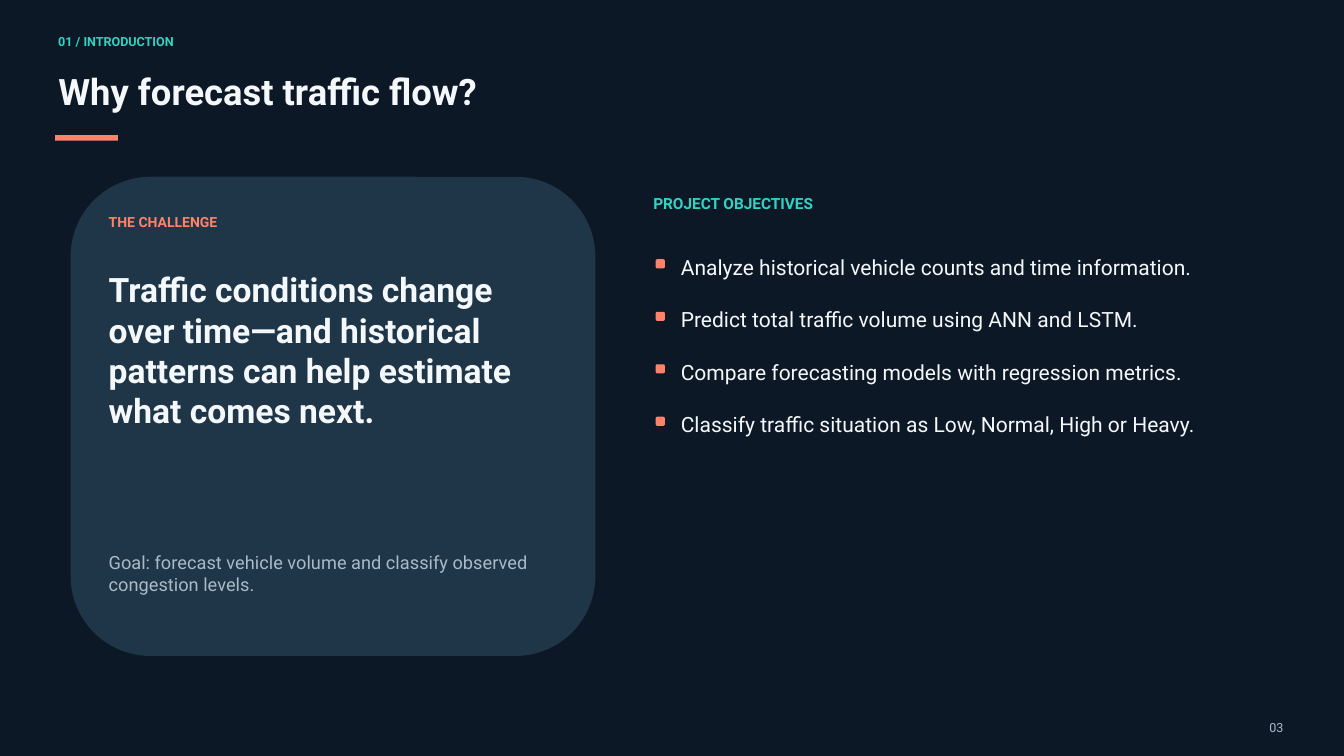
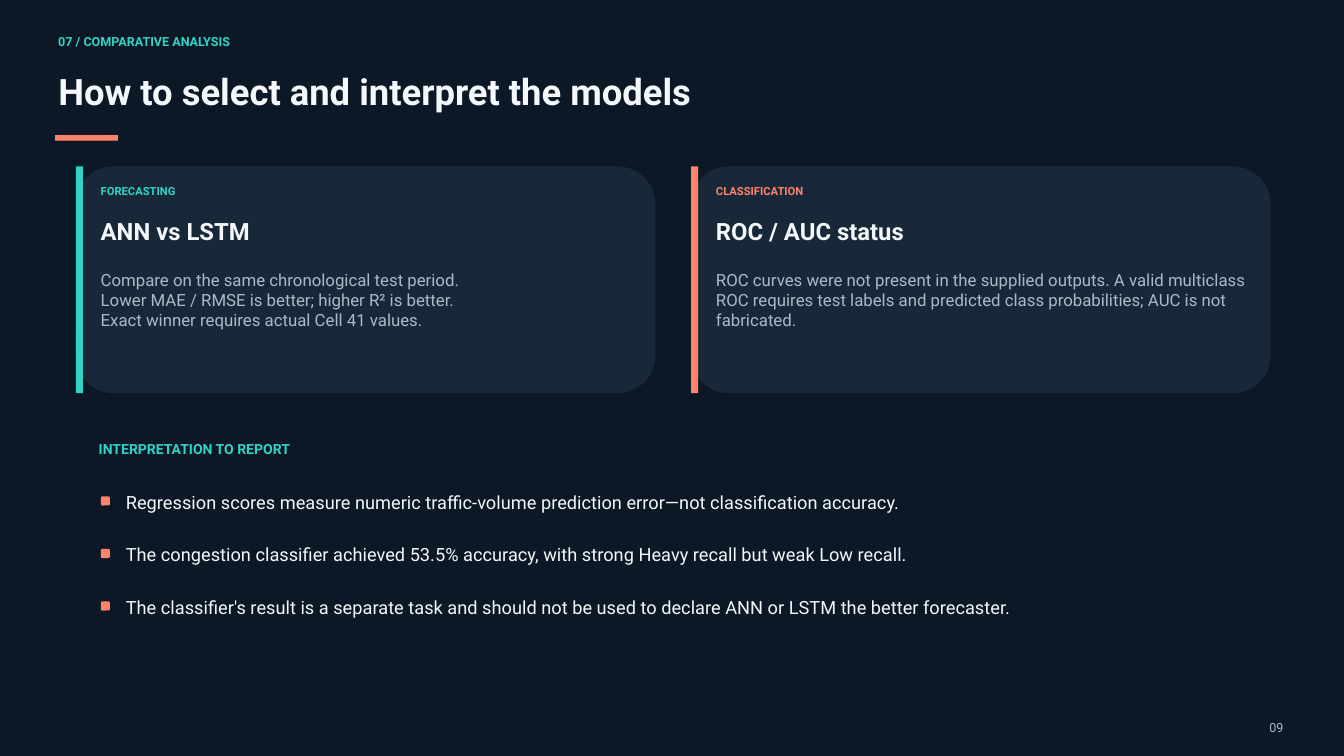
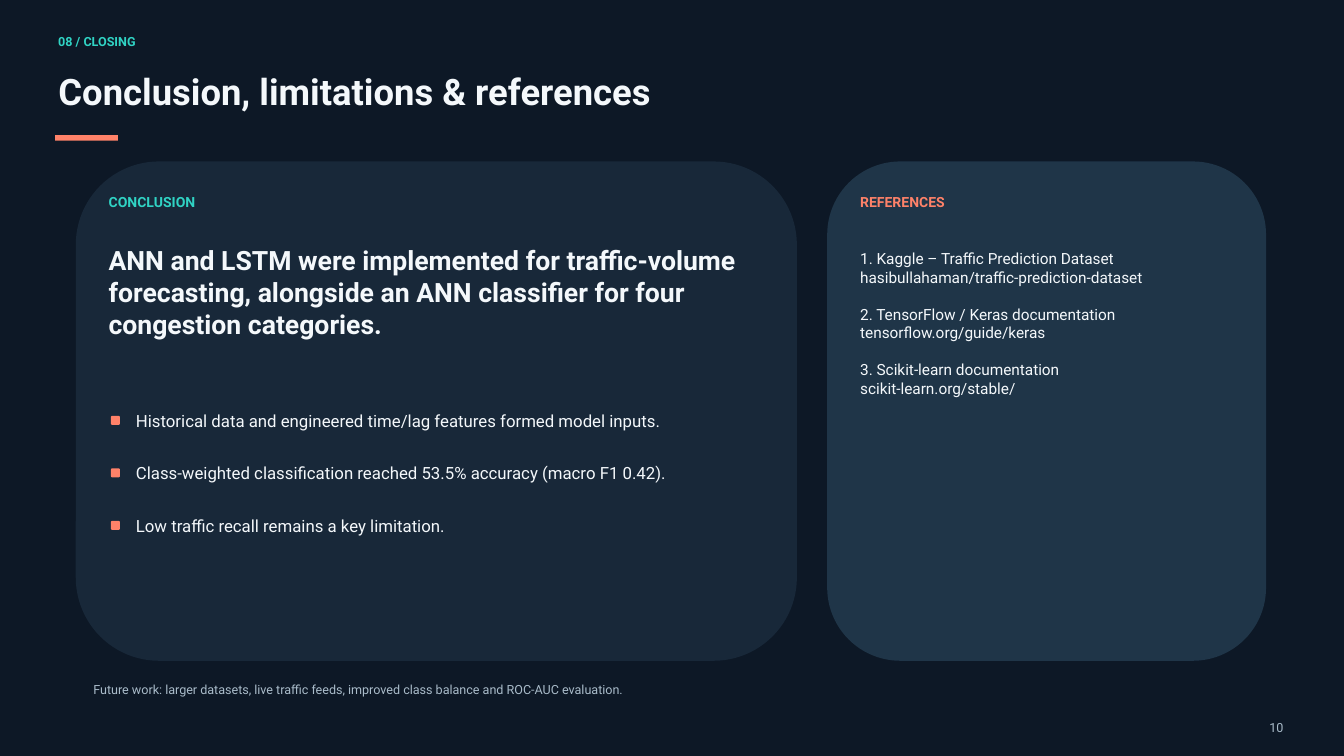
from lxml import etree
from pptx import Presentation
from pptx.dml.color import RGBColor
from pptx.enum import shapes, text
from pptx.oxml import ns
from pptx.util import Pt

NIGHT, CARD, CARD_LIGHT = "0D1826", "182839", "1F3548"
TEAL, CORAL, WHITE, GREY = "30D3C4", "FF8269", "F4F8FB", "A9BBC9"
FONT = "Roboto"
MARKER_SIZE = 9.75
MARKER_DROP = 5.6
LIST_INDENT = 26.8
LIST_PITCH = 56.25
RECTANGLE = shapes.MSO_SHAPE.RECTANGLE
ROUNDED = shapes.MSO_SHAPE.ROUNDED_RECTANGLE


def add_block(slide, kind, colour, left, top, width, height):
    shape = slide.shapes.add_shape(kind, Pt(left), Pt(top), Pt(width), Pt(height))
    shape.shadow.inherit = False
    shape.fill.solid()
    shape.fill.fore_color.rgb = RGBColor.from_string(colour)
    shape.line.fill.background()


def write(slide, lines, left, top, width, height, size, colour=WHITE, bold=False,
          align=text.PP_ALIGN.LEFT, gap=0, placeholder=None):
    """Write one paragraph per line, in a new text box or in a placeholder brought to the front."""
    shape = placeholder or slide.shapes.add_textbox(0, 0, 0, 0)
    shape.element.getparent().append(shape.element)
    shape.left, shape.top, shape.width, shape.height = Pt(left), Pt(top), Pt(width), Pt(height)
    frame = shape.text_frame
    frame.margin_left = frame.margin_top = frame.margin_right = frame.margin_bottom = 0
    frame.word_wrap = True
    frame.auto_size = text.MSO_AUTO_SIZE.NONE
    frame.vertical_anchor = text.MSO_ANCHOR.TOP
    frame.text = lines if isinstance(lines, str) else "\n".join(lines)
    for index, paragraph in enumerate(frame.paragraphs):
        paragraph.alignment = align
        paragraph.line_spacing = Pt(1.2 * size)
        paragraph.space_before = Pt(gap if index else 0)
        paragraph.space_after = Pt(0)
        if placeholder:
            properties = paragraph._p.get_or_add_pPr()
            properties.set("marL", "0")
            properties.set("indent", "0")
            etree.SubElement(properties, ns.qn("a:buNone"))
        for run in paragraph.runs:
            run.font.name = FONT
            run.font.size = Pt(size)
            run.font.bold = bold
            run.font.color.rgb = RGBColor.from_string(colour)


presentation = Presentation()
presentation.slide_width, presentation.slide_height = Pt(1440), Pt(810)
background = presentation.slide_master.background.fill
background.solid()
background.fore_color.rgb = RGBColor.from_string(NIGHT)

# Shared frame of every slide
pages = [
    ("01 / INTRODUCTION", "Why forecast traffic flow?", "03"),
    ("07 / COMPARATIVE ANALYSIS", "How to select and interpret the models", "09"),
    ("08 / CLOSING", "Conclusion, limitations & references", "10"),
]
for section, title, number in pages:
    slide = presentation.slides.add_slide(presentation.slide_layouts[1])
    write(slide, section, 62.4, 36, 426, 24, 13.5, colour=TEAL, bold=True)
    write(slide, title, 62.6, 74.2, 1302, 59, 39, bold=True, placeholder=slide.shapes.title)
    add_block(slide, RECTANGLE, CORAL, 59.2, 144.7, 67.2, 6)
    write(slide, number, 1321.2, 771, 54, 16.5, 13.5, colour=GREY, align=text.PP_ALIGN.RIGHT)
introduction, comparison, closing = presentation.slides

# Introduction
add_block(introduction, ROUNDED, CARD_LIGHT, 75.6, 189.4, 562.3, 513.4)
write(introduction, "THE CHALLENGE", 116.4, 229, 475, 34.5, 15, colour=CORAL, bold=True)
write(introduction,
      "Traffic conditions change over time—and historical patterns can help estimate "
      "what comes next.", 116.4, 288.3, 464.4, 234, 36, bold=True)
write(introduction, "Goal: forecast vehicle volume and classify observed congestion levels.",
      116.4, 591, 459, 72, 19.5, colour=GREY)
write(introduction, "PROJECT OBJECTIVES", 700, 207.4, 621, 34.5, 16.5, colour=TEAL, bold=True)
objectives = [
    "Analyze historical vehicle counts and time information.",
    "Predict total traffic volume using ANN and LSTM.",
    "Compare forecasting models with regression metrics.",
    "Classify traffic situation as Low, Normal, High or Heavy.",
]

# Comparative analysis
topics = [
    (81.2, TEAL, "FORECASTING", "ANN vs LSTM",
     ["Compare on the same chronological test period.",
      "Lower MAE / RMSE is better; higher R² is better.",
      "Exact winner requires actual Cell 41 values."]),
    (740.4, CORAL, "CLASSIFICATION", "ROC / AUC status",
     "ROC curves were not present in the supplied outputs. A valid multiclass ROC requires "
     "test labels and predicted class probabilities; AUC is not fabricated."),
]
for left, accent, label, heading, details in topics:
    add_block(comparison, ROUNDED, CARD, left, 178.3, 621, 243)
    add_block(comparison, RECTANGLE, accent, left, 178.3, 7.6, 243)
    write(comparison, label, left + 26.7, 198, 570, 20, 12, colour=accent, bold=True)
    write(comparison, heading, left + 26.7, 232.6, 570, 42, 25.5, bold=True)
    write(comparison, details, left + 26.7, 288.7, 570, 119, 18, colour=GREY)
write(comparison, "INTERPRETATION TO REPORT", 105.8, 472.3, 1226, 34.5, 15,
      colour=TEAL, bold=True)
interpretations = [
    "Regression scores measure numeric traffic-volume prediction error—not classification "
    "accuracy.",
    "The congestion classifier achieved 53.5% accuracy, with strong Heavy recall but weak Low "
    "recall.",
    "The classifier's result is a separate task and should not be used to declare ANN or LSTM "
    "the better forecaster.",
]

# Closing
add_block(closing, ROUNDED, CARD, 81.2, 173, 772.6, 535)
write(closing, "CONCLUSION", 116.4, 207.4, 675, 31, 15, colour=TEAL, bold=True)
write(closing,
      "ANN and LSTM were implemented for traffic-volume forecasting, alongside an ANN "
      "classifier for four congestion categories.", 116.4, 261.4, 675, 142, 28.5, bold=True)
add_block(closing, ROUNDED, CARD_LIGHT, 886.3, 173, 470.2, 535)
write(closing, "REFERENCES", 921.6, 207.4, 394, 31, 15, colour=CORAL, bold=True)
references = [
    "1. Kaggle – Traffic Prediction Dataset\vhasibullahaman/traffic-prediction-dataset",
    "2. TensorFlow / Keras documentation\vtensorflow.org/guide/keras",
    "3. Scikit-learn documentation\vscikit-learn.org/stable/",
]
write(closing, references, 921.6, 267.1, 394, 348, 16.5, gap=19.8)
write(closing,
      "Future work: larger datasets, live traffic feeds, improved class balance and ROC-AUC "
      "evaluation.", 100, 730.8, 1237, 24, 13.5, colour=GREY)
findings = [
    "Historical data and engineered time/lag features formed model inputs.",
    "Class-weighted classification reached 53.5% accuracy (macro F1 0.42).",
    "Low traffic recall remains a key limitation.",
]

# Lists with rounded square markers
marked_lists = [
    (introduction, objectives, 702.6, 272.2, 598, 22.5),
    (comparison, interpretations, 108, 526.3, 1159, 19.5),
    (closing, findings, 118.8, 439.9, 646, 18),
]
for slide, items, left, top, width, size in marked_lists:
    for row in range(len(items)):
        add_block(slide, ROUNDED, CORAL, left, top + MARKER_DROP + row * LIST_PITCH,
                  MARKER_SIZE, MARKER_SIZE)
    write(slide, items, left + LIST_INDENT, top, width, len(items) * LIST_PITCH, size,
          gap=LIST_PITCH - 1.2 * size, placeholder=slide.placeholders[1])

presentation.save("out.pptx")
